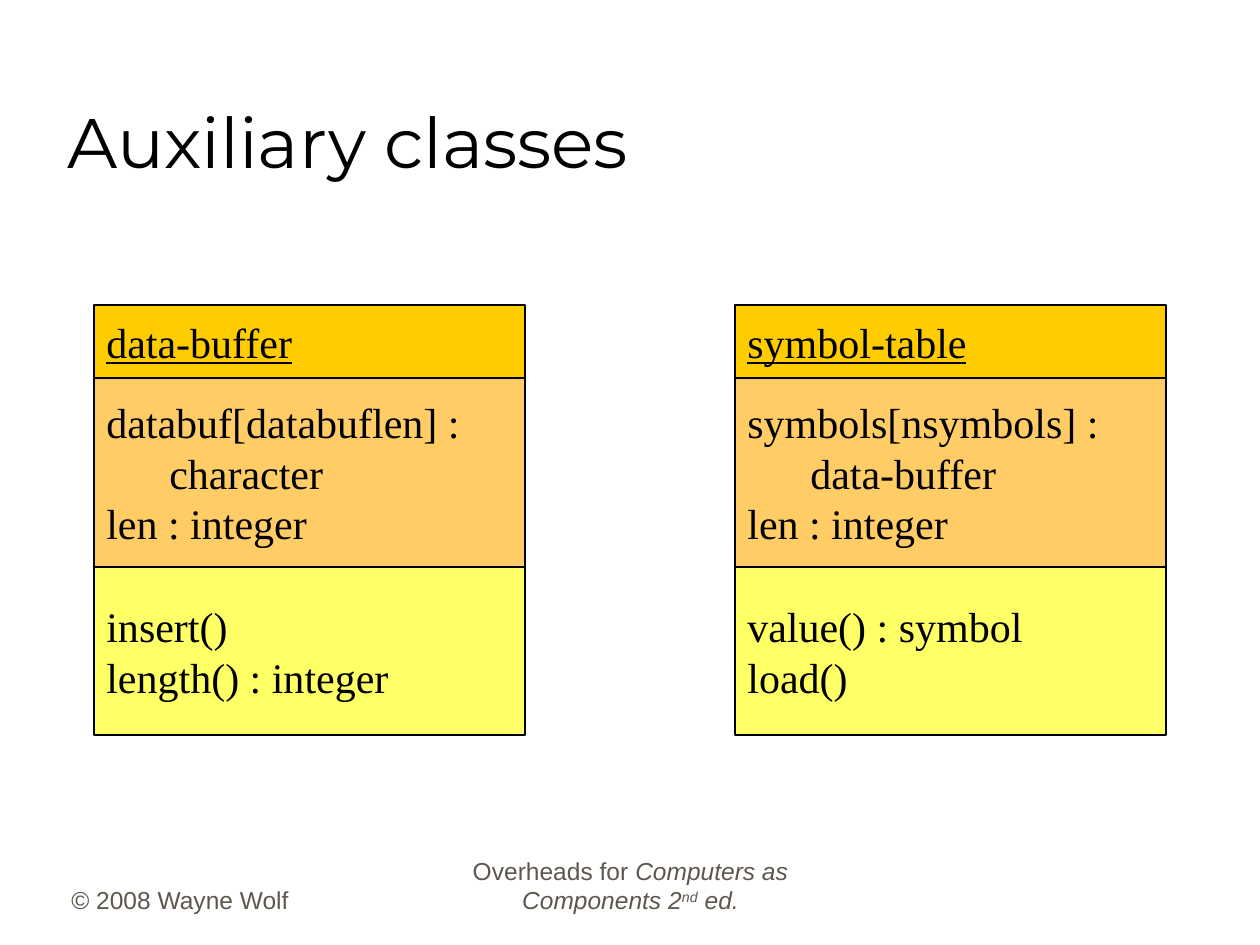
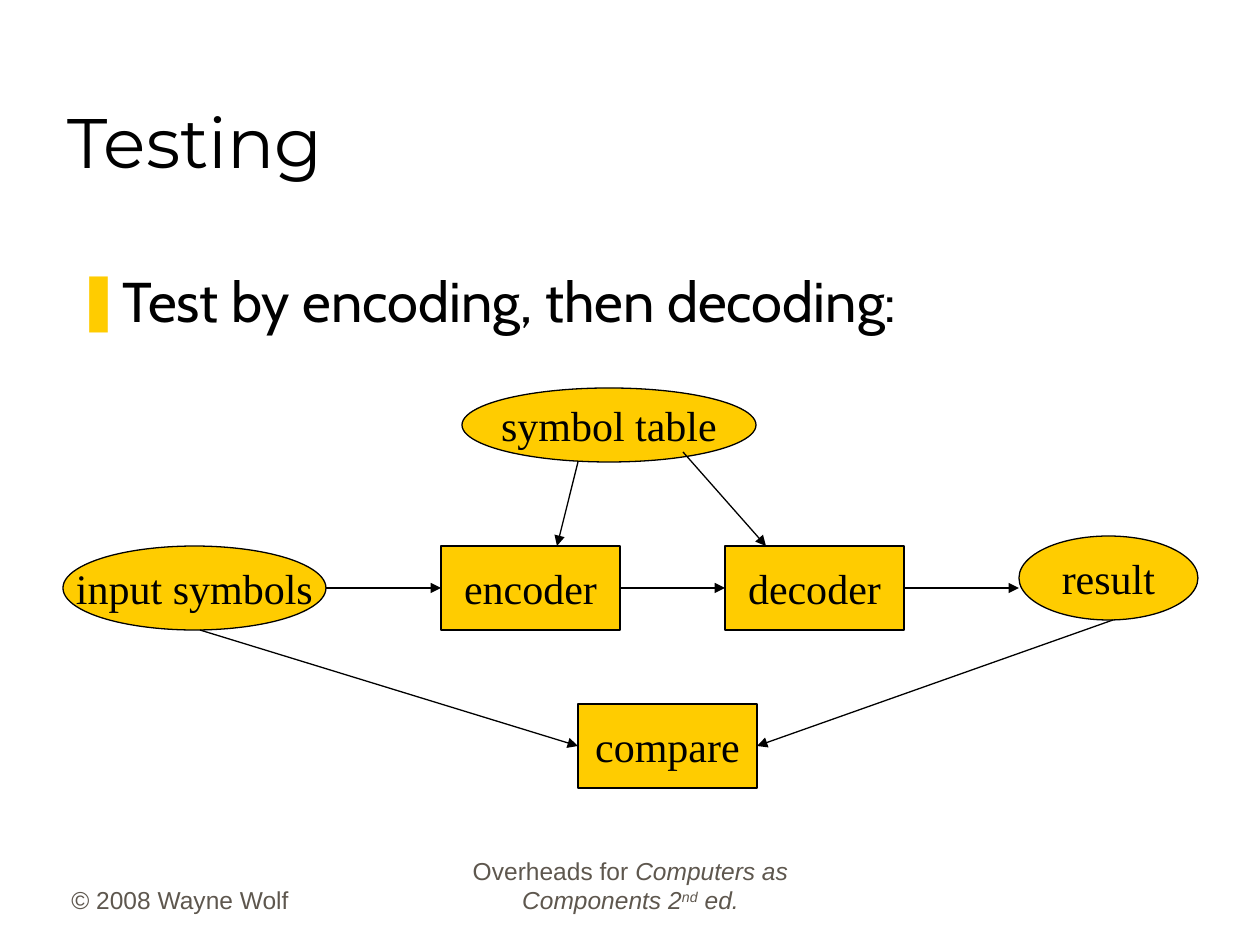
from lxml import etree
from pptx import Presentation
from pptx.dml.color import RGBColor
from pptx.enum.shapes import MSO_CONNECTOR, MSO_SHAPE
from pptx.enum.text import MSO_ANCHOR, MSO_AUTO_SIZE, PP_ALIGN
from pptx.oxml.ns import qn
from pptx.util import Emu, Inches, Pt

PX_PER_INCH = 126
BLACK = RGBColor(0x00, 0x00, 0x00)
FOOTER_GREY = RGBColor(0x5E, 0x57, 0x4E)
GOLD = RGBColor(0xFF, 0xCC, 0x00)
ORANGE = RGBColor(0xFF, 0xCC, 0x66)
YELLOW = RGBColor(0xFF, 0xFF, 0x66)

TITLE_ONLY, TITLE_AND_BODY = 5, 1
TITLE_BOX = (55, 32, 1071, 157)
BODY_BOX = (63, 260, 1126, 107)
COPYRIGHT_BOX = (59, 858, 262, 63)
BOOK_BOX = (431, 858, 399, 63)

CLASS_WIDTH = 431
COMPARTMENTS = [(73, GOLD), (189, ORANGE), (168, YELLOW)]
CLASS_TOP = 305

RECT, OVAL = MSO_SHAPE.RECTANGLE, MSO_SHAPE.OVAL
# name: (shape, left, top, width, height) inside the flow diagram
FLOW_NODES = {
    "input symbols": (OVAL, 0, 158, 263, 84),
    "symbol table": (OVAL, 399, 0, 294, 74),
    "encoder": (RECT, 378, 158, 179, 84),
    "decoder": (RECT, 662, 158, 179, 84),
    "compare": (RECT, 515, 316, 179, 84),
    "result": (OVAL, 956, 148, 179, 84),
}
# each end: (node, offset from its left, offset from its top)
FLOW_ARROWS = [
    (("input symbols", 263, 42), ("encoder", 0, 42)),
    (("symbol table", 116, 74), ("encoder", 116, 0)),
    (("symbol table", 221, 64), ("decoder", 41, 0)),
    (("encoder", 179, 42), ("decoder", 0, 42)),
    (("decoder", 179, 42), ("result", 0, 52)),
    (("input symbols", 137, 84), ("compare", 0, 42)),
    (("result", 94, 84), ("compare", 179, 42)),
]


def px(length):
    return Emu(round(length * Inches(1) / PX_PER_INCH))


def scaled(box):
    return [px(length) for length in box]


def style_font(font, name, size, color=BLACK):
    font.name, font.size = name, Pt(size)
    font.color.rgb = color


def fill_placeholder(placeholder, box, text, font_name, size, anchor):
    placeholder.left, placeholder.top, placeholder.width, placeholder.height = scaled(box)
    frame = placeholder.text_frame
    frame.text = text
    frame.auto_size = MSO_AUTO_SIZE.NONE
    frame.vertical_anchor = anchor
    paragraph = frame.paragraphs[0]
    paragraph.alignment = PP_ALIGN.LEFT
    paragraph.space_before = Pt(0)
    style_font(paragraph.font, font_name, size)
    return paragraph


def add_footer(slide, box, runs, alignment):
    """Write one footer from (text, italic, superscript) runs."""
    frame = slide.shapes.add_textbox(*scaled(box)).text_frame
    frame.word_wrap = True
    frame.vertical_anchor = MSO_ANCHOR.BOTTOM
    paragraph = frame.paragraphs[0]
    paragraph.alignment = alignment
    style_font(paragraph.font, "Arial", 14, FOOTER_GREY)
    for text, italic, superscript in runs:
        run = paragraph.add_run()
        run.text = text
        if italic:
            run.font.italic = True
        if superscript:
            run.font._element.set("baseline", "30000")


def new_slide(deck, layout, title):
    """Add a slide with the shared title style and footers."""
    slide = deck.slides.add_slide(deck.slide_layouts[layout])
    fill_placeholder(slide.shapes.title, TITLE_BOX, title,
                     "Montserrat", 40, MSO_ANCHOR.BOTTOM)
    add_footer(slide, COPYRIGHT_BOX, [("© 2008 Wayne Wolf", False, False)], PP_ALIGN.LEFT)
    add_footer(slide, BOOK_BOX, [
        ("Overheads for ", False, False),
        ("Computers as Components 2", True, False),
        ("nd", True, True),
        (" ed.", True, False),
    ], PP_ALIGN.CENTER)
    return slide


def add_block(slide, kind, box, fill, lines, alignment, wrap, underline=None):
    block = slide.shapes.add_shape(kind, *scaled(box))
    block.shadow.inherit = False
    block.fill.solid()
    block.fill.fore_color.rgb = fill
    block.line.color.rgb = BLACK
    block.line.width = Pt(0.75)
    frame = block.text_frame
    frame.text = "\n".join(lines)
    frame.word_wrap = wrap
    frame.vertical_anchor = MSO_ANCHOR.MIDDLE
    for paragraph in frame.paragraphs:
        paragraph.alignment = alignment
        style_font(paragraph.font, "Times New Roman", 24)
        paragraph.font.underline = underline


def add_class(slide, left, top, name, attributes, operations):
    """Stack the name, attribute and operation compartments of a class."""
    contents = [[name], attributes, operations]
    for (height, fill), lines in zip(COMPARTMENTS, contents):
        add_block(slide, RECT, (left, top, CLASS_WIDTH, height), fill, lines,
                  PP_ALIGN.LEFT, True, underline=True if lines == [name] else None)
        top += height


def add_arrow(slide, start, end):
    arrow = slide.shapes.add_connector(MSO_CONNECTOR.STRAIGHT, *scaled(start + end))
    arrow.line.color.rgb = BLACK
    arrow.line.width = Pt(0.75)
    etree.SubElement(arrow.line._get_or_add_ln(), qn("a:tailEnd"), type="triangle")
    etree.SubElement(arrow._element.spPr, qn("a:effectLst"))


def add_flow(slide, left, top):
    for name, (kind, x, y, width, height) in FLOW_NODES.items():
        add_block(slide, kind, (left + x, top + y, width, height), GOLD,
                  [name], PP_ALIGN.CENTER, False)

    def anchor(node, dx, dy):
        _, x, y, _, _ = FLOW_NODES[node]
        return left + x + dx, top + y + dy

    for start, end in FLOW_ARROWS:
        add_arrow(slide, anchor(*start), anchor(*end))


def add_bullet(paragraph, symbol, color):
    properties = paragraph._p.get_or_add_pPr()
    properties.set("marL", str(px(47)))
    properties.set("indent", str(-px(47)))
    bullet_color = etree.Element(qn("a:buClr"))
    etree.SubElement(bullet_color, qn("a:srgbClr"), val=str(color))
    bullet = etree.Element(qn("a:buChar"), char=symbol)
    font_defaults = properties.find(qn("a:defRPr"))
    for element in (bullet_color, bullet):
        font_defaults.addprevious(element)


def auxiliary_classes_slide(deck):
    slide = new_slide(deck, TITLE_ONLY, "Auxiliary classes")
    add_class(slide, 94, CLASS_TOP, "data-buffer",
              ["databuf[databuflen] :", "\tcharacter", "len : integer"],
              ["insert()", "length() : integer"])
    add_class(slide, 735, CLASS_TOP, "symbol-table",
              ["symbols[nsymbols] :", "\tdata-buffer", "len : integer"],
              ["value() : symbol", "load()"])


def testing_slide(deck):
    slide = new_slide(deck, TITLE_AND_BODY, "Testing")
    statement = fill_placeholder(slide.placeholders[1], BODY_BOX,
                                 "Test by encoding, then decoding:",
                                 "Cabin", 32, MSO_ANCHOR.TOP)
    add_bullet(statement, "❚", GOLD)
    add_flow(slide, 63, 388)


def main():
    deck = Presentation()
    deck.slide_width, deck.slide_height = Inches(10), Inches(7.5)
    auxiliary_classes_slide(deck)
    testing_slide(deck)
    deck.save("out.pptx")


if __name__ == "__main__":
    main()
